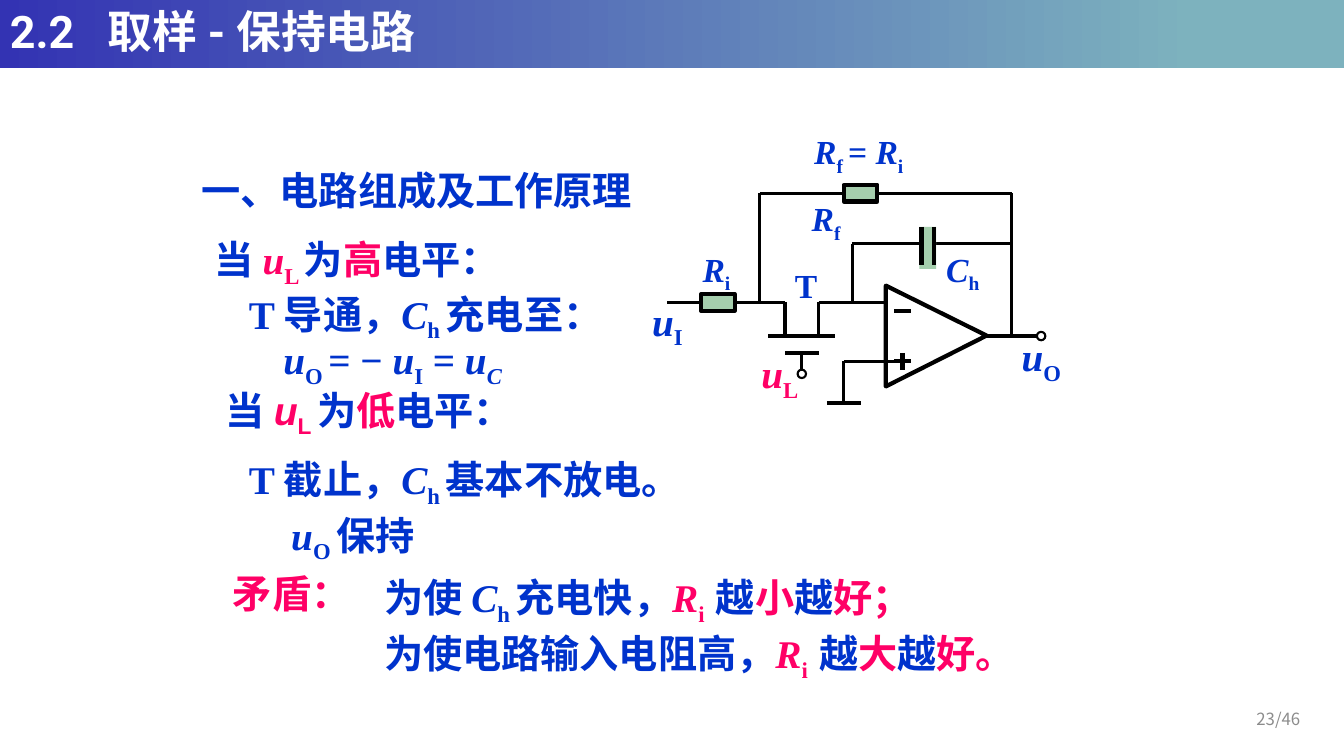
from lxml import etree
from pptx import Presentation
from pptx.dml.color import RGBColor
from pptx.enum import shapes, text
from pptx.oxml.ns import qn
from pptx.util import Cm, Pt

BLUE, PINK, BLACK, GREEN = "0033CC", "FF0066", "000000", "A5CEAD"
TIMES, SANS, CJK = "Times New Roman", "Arial", "Noto Sans CJK SC"
GRID = 2.54 / 12  # the circuit is laid out on a grid of twelfths of an inch


def color(value):
    return RGBColor.from_string(value)


def add_run(paragraph, words, size, font, shade, bold=True, italic=False, sub=False):
    run = paragraph.add_run()
    run.text = words
    run.font.size, run.font.name = Pt(size), font
    run.font.bold, run.font.italic = bold, italic
    run.font.color.rgb = color(shade)
    props = run.font._element
    etree.SubElement(props, qn("a:ea")).set("typeface", CJK)
    if sub:
        props.set("baseline", "-25000")


def add_text_box(slide, left, top, width, height, wrap=True):
    frame = slide.shapes.add_textbox(Cm(left), Cm(top), Cm(width), Cm(height)).text_frame
    frame.word_wrap = wrap
    return frame


def add_formula(slide, box, runs, size, wrap=True):
    """Write (words, marks) runs; marks: t Times, i italic, s subscript, p pink."""
    paragraph = add_text_box(slide, *box, wrap=wrap).paragraphs[0]
    for words, marks in runs:
        add_run(paragraph, words, size, TIMES if "t" in marks else SANS,
                PINK if "p" in marks else BLUE, italic="i" in marks, sub="s" in marks)


def add_header(slide, left, top, width, height):
    bar = slide.shapes.add_shape(shapes.MSO_SHAPE.RECTANGLE,
                                 Cm(left), Cm(top), Cm(width), Cm(height))
    bar.shadow.inherit = False
    bar.line.fill.background()
    bar.fill.gradient()
    bar.fill.gradient_angle = 0
    for stop, (position, shade) in zip(bar.fill.gradient_stops,
                                       [(0, "3333B3"), (0.89, "7DB2BE")]):
        stop.position, stop.color.rgb = position, color(shade)
    title = add_text_box(slide, left, top, width, height)
    title.vertical_anchor = text.MSO_ANCHOR.MIDDLE
    title.paragraphs[0].line_spacing = 0.9
    add_run(title.paragraphs[0], "2.2   取样 - 保持电路", 32, "Roboto", "FFFFFF")


def add_explanation(slide, left, top):
    lines = [
        (0, 0, 12.07, [("一、电路组成及工作原理", "t")]),
        (0.33, 1.75, 8.26, [("当 ", ""), ("u", "tip"), ("L ", "tsp"), ("为", ""),
                            ("高", "p"), ("电平：", "")]),
        (1.19, 3.12, 10.29, [("T ", "t"), ("导通，", ""), ("C", "ti"), ("h ", "ts"),
                             ("充电至：", "")]),
        (2.06, 4.27, 7.62, [("u", "ti"), ("O ", "ts"), ("= − ", "t"), ("u", "ti"),
                            ("I", "ts"), (" = ", "t"), ("u", "ti"), ("C", "tis")]),
        (0.61, 5.54, 8.69, [("当 ", ""), ("u", "ip"), ("L ", "sp"), ("为", ""),
                            ("低", "p"), ("电平：", "")]),
        (1.19, 7.29, 11.91, [("T ", "t"), ("截止，", ""), ("C", "ti"), ("h ", "ts"),
                             ("基本不放电。", "")]),
        (2.26, 8.69, 4.65, [("u", "ti"), ("O ", "ts"), ("保持", "")]),
        (0.79, 10.16, 4.01, [("矛盾：", "p")]),
        (4.6, 10.26, 14.55, [("为使 ", ""), ("C", "ti"), ("h ", "ts"), ("充电快", ""),
                             ("，", "t"), ("R", "tip"), ("i  ", "tsp"), ("越", "t"),
                             ("小", "tp"), ("越", "t"), ("好；", "tp")]),
        (4.6, 11.68, 16.61, [("为使电路输入电阻高", ""), ("，", "t"), ("R", "tip"),
                             ("i  ", "tsp"), ("越", "t"), ("大", "tp"), ("越", "t"),
                             ("好。", "tp")]),
    ]
    for dx, dy, width, runs in lines:
        add_formula(slide, (left + dx, top + dy, width, 1.45), runs, 28)


def add_circuit(slide, left, top):
    """Draw the circuit; (left, top) is the input's x and the feedback wire's y."""

    def x(column):
        return left + column * GRID

    def y(row):
        return top + row * GRID

    def wire(x1, y1, x2, y2, weight=2.25):
        line = slide.shapes.add_connector(shapes.MSO_CONNECTOR.STRAIGHT,
                                          Cm(x(x1)), Cm(y(y1)), Cm(x(x2)), Cm(y(y2)))
        line.line.color.rgb, line.line.width = color(BLACK), Pt(weight)
        etree.SubElement(line._element.spPr, qn("a:effectLst"))

    def part(kind, column, row, width, height, weight=3, fill=None):
        shape = slide.shapes.add_shape(kind, Cm(x(column)), Cm(y(row)),
                                       Cm(width * GRID), Cm(height * GRID))
        shape.shadow.inherit = False
        if fill:
            shape.fill.solid()
            shape.fill.fore_color.rgb = color(fill)
        else:
            shape.fill.background()
        if weight:
            shape.line.color.rgb, shape.line.width = color(BLACK), Pt(weight)
        else:
            shape.line.fill.background()
        return shape

    amplifier = part(shapes.MSO_SHAPE.ISOSCELES_TRIANGLE, 26, 11, 12, 12)
    amplifier.rotation = 90
    amplifier.adjustments[0] = 0.496

    wires = [
        (0, 13, 14, 13), (14, 13, 14, 17), (18, 17, 18, 13), (18, 13, 26, 13),
        (16, 19, 16, 21), (11, 0, 11, 13), (11, 0, 41, 0), (41, 0, 41, 17),
        (22, 6, 22, 13), (22, 6, 41, 6), (38, 17, 44, 17),
        (21, 20, 27, 20), (21, 20, 21, 25),
    ]
    for ends in wires:
        wire(*ends)

    channel, gate, ground = (12, 17, 20, 17), (14, 19, 18, 19), (19, 25, 23, 25)
    minus, plus = (27, 14, 29, 14), [(27, 20, 29, 20), (28, 19, 28, 21)]
    for ends in [channel, gate, ground, minus, *plus]:
        wire(*ends, weight=3)

    for column, row in [(15.5, 21), (44, 16.5)]:
        part(shapes.MSO_SHAPE.OVAL, column, row, 1, 1, 1.5, "FFFFFF")
    for column, row in [(21, -1), (4, 12)]:
        part(shapes.MSO_SHAPE.RECTANGLE, column, row, 4, 2, fill=GREEN)
    part(shapes.MSO_SHAPE.RECTANGLE, 30, 4, 2, 5, weight=0, fill=GREEN)
    for plate in (30.25, 31.75):
        wire(plate, 4, plate, 8.5, weight=3)

    labels = [
        (16, 0, 11, 24, [("R", "ti"), ("f", "ts")]),
        (32, 6, 10, 24, [("C", "ti"), ("h", "ts")]),
        (3, 6, 10, 24, [("R", "ti"), ("i", "ts")]),
        (16.3, -8, 17, 24, [("R", "ti"), ("f ", "ts"), ("= R", "ti"), ("i", "ts")]),
        (-3, 11.75, 7, 28, [("u", "ti"), ("I", "ts")]),
        (41, 16, 9, 28, [("u", "ti"), ("O", "ts")]),
        (10, 18, 9, 28, [("u", "tip"), ("L", "tsp")]),
    ]
    for column, row, width, size, runs in labels:
        add_formula(slide, (x(column), y(row), width * GRID, 1.4), runs, size)
    add_formula(slide, (x(14), y(8), 5 * GRID, 1.27), [("T", "t")], 24, wrap=False)


def add_page_number(slide, left, top, width, height):
    frame = add_text_box(slide, left, top, width, height)
    frame.vertical_anchor = text.MSO_ANCHOR.MIDDLE
    frame.paragraphs[0].alignment = text.PP_ALIGN.RIGHT
    add_run(frame.paragraphs[0], "23/46", 12, CJK, "8C8C8C", bold=False)


def main():
    deck = Presentation()
    deck.slide_width, deck.slide_height = Cm(33.87), Cm(19.05)
    slide = deck.slides.add_slide(deck.slide_layouts[6])
    add_header(slide, 0, 0, 33.87, 1.72)
    add_explanation(slide, 4.83, 4.06)
    add_circuit(slide, 16.82, 4.87)
    add_page_number(slide, 29.69, 17.6, 3.33, 1.02)
    deck.save("out.pptx")


if __name__ == "__main__":
    main()
